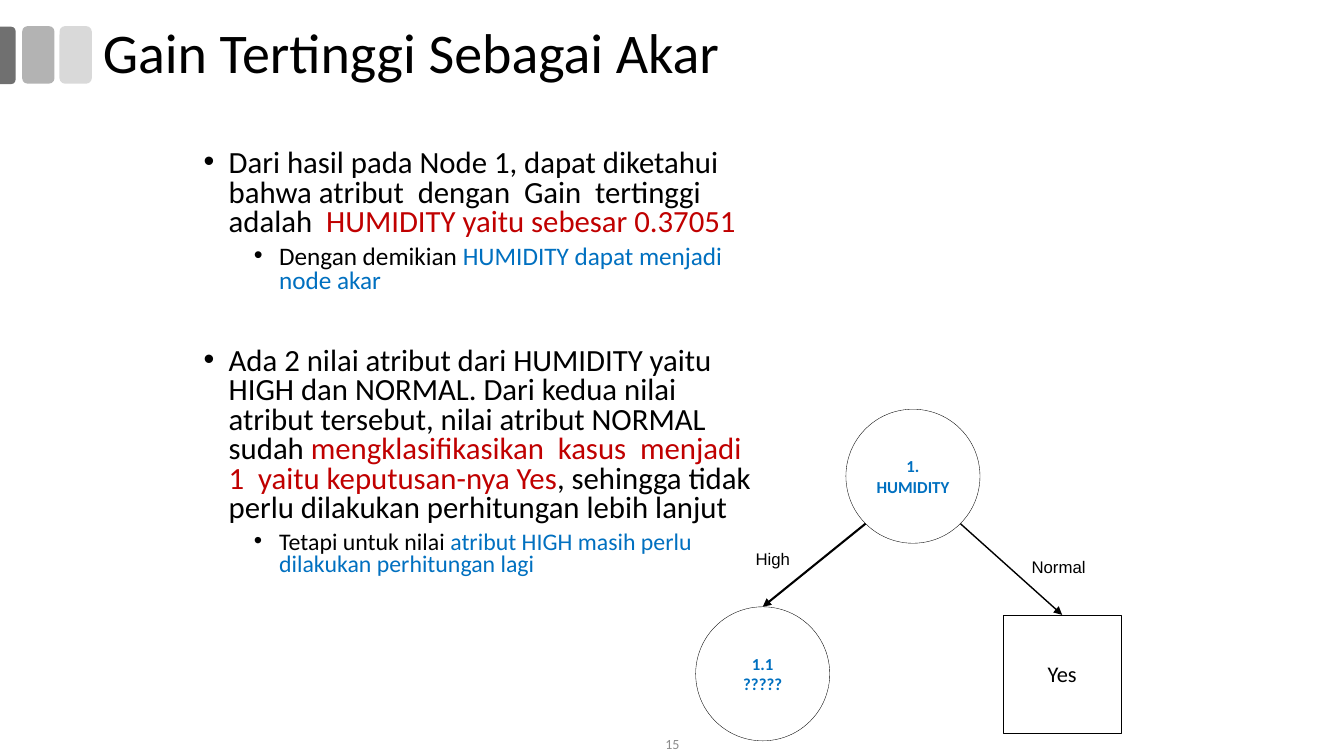
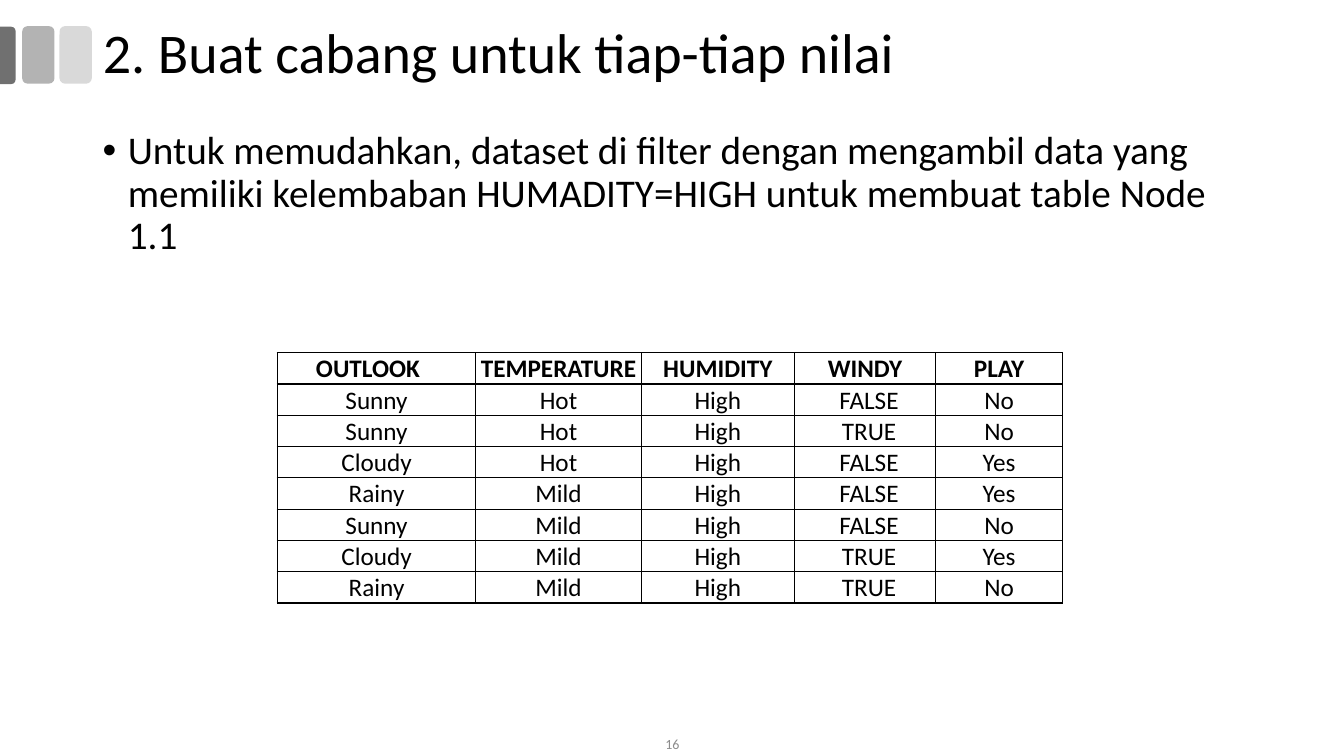
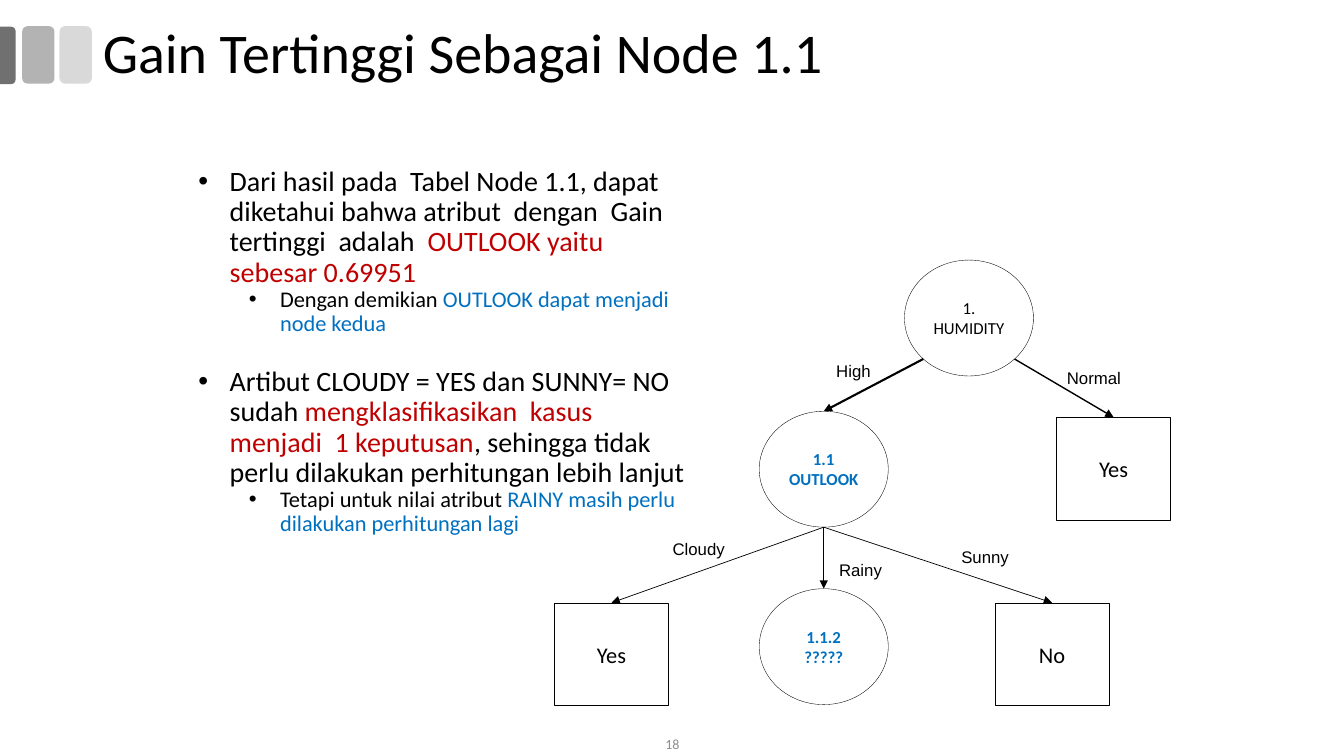
from dataclasses import dataclass
from math import sqrt

from lxml.etree import SubElement
from pptx import Presentation
from pptx.dml.color import RGBColor
from pptx.enum.shapes import MSO_CONNECTOR, MSO_SHAPE
from pptx.enum.text import MSO_ANCHOR, MSO_AUTO_SIZE, PP_ALIGN
from pptx.oxml.ns import qn
from pptx.util import Inches, Pt


@dataclass(frozen=True)
class Theme:
    black: str = "000000"
    white: str = "FFFFFF"
    red: str = "C00000"
    blue: str = "0070C0"
    grey: str = "8C8C8C"
    bands: tuple = ("D9D9D9", "B3B3B3", "707070")
    font: str = "Calibri"
    label_font: str = "Arial"
    title: int = 40
    table: int = 18
    leaf: int = 16
    node: int = 12
    number: int = 10


T = Theme()


def set_attrs(obj, **values):
    for name, value in values.items():
        setattr(obj, name, value)


def write(p, runs, size, name=T.font, bold=False, **para):
    """Add (text, colour) runs to a paragraph; para holds its format values."""
    set_attrs(p, **para)
    for text, color in runs:
        r = p.add_run()
        r.text = text
        set_attrs(r.font, name=name, size=Pt(size), bold=bold)
        r.font.color.rgb = RGBColor.from_string(color)


# Bullets are (level, size, space before, runs).
# Nodes are key: (kind, left, top, text, colour, bold).
# Edges are (parent, side, child, width), side -1 left, 0 bottom, 1 right.
slides = [
    dict(
        title="Gain Tertinggi Sebagai Akar", number="15",
        body=(1.92, 1.44, 5.75, 4.44), indent=0.25, spacing=0.8,
        bullets=[
            (0, 22, 10, [
                ("Dari hasil pada Node 1, dapat diketahui bahwa atribut  dengan  Gain  tertinggi  adalah  ", T.black),
                ("HUMIDITY yaitu sebesar 0.37051", T.red)]),
            (1, 18, 5, [
                ("Dengan demikian ", T.black),
                ("HUMIDITY dapat menjadi node akar", T.blue)]),
            (0, 22, 38, [
                ("Ada 2 nilai atribut dari HUMIDITY yaitu HIGH dan NORMAL. Dari kedua nilai "
                 "atribut tersebut, nilai atribut NORMAL sudah ", T.black),
                ("mengklasifikasikan  kasus  menjadi  1  yaitu keputusan-nya Yes", T.red),
                (", sehingga tidak perlu dilakukan perhitungan lebih lanjut", T.black)]),
            (1, 17, 5, [
                ("Tetapi untuk nilai ", T.black),
                ("atribut HIGH masih perlu dilakukan perhitungan lagi", T.blue)]),
        ],
        sizes={"circle": (1.33, 1.33), "box": (1.17, 1.17)},
        nodes={
            "root": ("circle", 8.39, 4.06, "1. HUMIDITY", T.blue, True),
            "high": ("circle", 6.9, 6.02, "1.1\n?????", T.blue, True),
            "normal": ("box", 9.95, 6.1, "Yes", T.black, False),
        },
        edges=[("root", -1, "high", 1.5), ("root", 1, "normal", 1)],
        labels=[("High", 7.39, 5.39, 0.55), ("Normal", 10.13, 5.47, 0.74)],
    ),
    dict(
        title="2. Buat cabang untuk tiap-tiap nilai", number="16",
        body=(0.92, 1.25, 11.5, 5.83), indent=0.25, spacing=0.9,
        bullets=[
            (0, 28, 10, [
                ("Untuk memudahkan, dataset di filter dengan mengambil data yang memiliki "
                 "kelembaban HUMADITY=HIGH untuk membuat table Node 1.1", T.black)]),
        ],
        table=[
            ("OUTLOOK", "TEMPERATURE", "HUMIDITY", "WINDY", "PLAY"),
            ("Sunny", "Hot", "High", "FALSE", "No"),
            ("Sunny", "Hot", "High", "TRUE", "No"),
            ("Cloudy", "Hot", "High", "FALSE", "Yes"),
            ("Rainy", "Mild", "High", "FALSE", "Yes"),
            ("Sunny", "Mild", "High", "FALSE", "No"),
            ("Cloudy", "Mild", "High", "TRUE", "Yes"),
            ("Rainy", "Mild", "High", "TRUE", "No"),
        ],
    ),
    dict(
        title="Gain Tertinggi Sebagai Node 1.1", number="18",
        body=(1.87, 1.61, 5.04, 5.08), indent=0.31, spacing=0.9,
        bullets=[
            (0, 20, 0, [
                ("Dari hasil pada  Tabel Node 1.1, dapat diketahui bahwa atribut  dengan  Gain  "
                 "tertinggi  adalah  ", T.black),
                ("OUTLOOK yaitu sebesar 0.69951", T.red)]),
            (1, 16, 0, [
                ("Dengan demikian ", T.black),
                ("OUTLOOK dapat menjadi node kedua", T.blue)]),
            (0, 20, 22, [
                ("Artibut CLOUDY = YES dan SUNNY= NO sudah ", T.black),
                ("mengklasifikasikan  kasus  menjadi  1 keputusan", T.red),
                (", sehingga tidak perlu dilakukan perhitungan lebih lanjut", T.black)]),
            (1, 16, 0, [
                ("Tetapi untuk nilai atribut ", T.black),
                ("RAINY masih perlu dilakukan perhitungan lagi", T.blue)]),
        ],
        sizes={"circle": (1.28, 1.15), "box": (1.13, 1.02)},
        nodes={
            "root": ("circle", 8.97, 2.58, "1. HUMIDITY", T.black, False),
            "high": ("circle", 7.53, 4.08, "1.1\nOUTLOOK", T.blue, True),
            "normal": ("box", 10.48, 4.14, "Yes", T.black, False),
            "cloudy": ("box", 5.5, 5.98, "Yes", T.black, False),
            "sunny": ("box", 9.87, 5.98, "No", T.black, False),
            "rainy": ("circle", 7.53, 5.84, "1.1.2\n?????", T.blue, True),
        },
        edges=[("root", -1, "high", 1.5), ("root", 1, "normal", 1), ("high", 0, "cloudy", 0.5),
               ("high", 0, "rainy", 0.5), ("high", 0, "sunny", 0.5)],
        labels=[("High", 8.19, 3.53, 0.55), ("Normal", 10.48, 3.6, 0.74), ("Cloudy", 6.57, 5.3, 0.72),
                ("Rainy", 8.22, 5.5, 0.63), ("Sunny", 9.43, 5.37, 0.68)],
    ),
]

bands = [
    (MSO_SHAPE.ROUNDED_RECTANGLE, 0.59, 0.26, 0.32, 0.57, 0),
    (MSO_SHAPE.ROUNDED_RECTANGLE, 0.22, 0.26, 0.32, 0.57, 0),
    (MSO_SHAPE.ROUND_2_SAME_RECTANGLE, -0.21, 0.47, 0.57, 0.16, 90),
]
node_styles = {"circle": (MSO_SHAPE.OVAL, T.node), "box": (MSO_SHAPE.RECTANGLE, T.leaf)}
col_widths = (1.97, 1.64, 1.52, 1.4, 1.26)
row_height = 0.31

prs = Presentation()
set_attrs(prs, slide_width=Inches(13.33), slide_height=Inches(7.5))

for data in slides:
    s = prs.slides.add_slide(prs.slide_layouts[5])

    for (kind, *at, rotation), color in zip(bands, T.bands):
        sp = s.shapes.add_shape(kind, *map(Inches, at))
        sp.rotation = rotation
        sp.shadow.inherit = False
        sp.fill.solid()
        sp.fill.fore_color.rgb = RGBColor.from_string(color)
        sp.line.fill.background()
        if rotation:
            sp.adjustments[0] = 0.29

    title = s.shapes.title
    set_attrs(title, left=Inches(0.92), top=Inches(0.17), width=Inches(12.4), height=Inches(0.75))
    tf = title.text_frame
    set_attrs(tf, word_wrap=True, auto_size=MSO_AUTO_SIZE.NONE, vertical_anchor=MSO_ANCHOR.MIDDLE)
    write(tf.paragraphs[0], [(data["title"], T.black)], T.title, alignment=PP_ALIGN.LEFT, line_spacing=0.9)

    tf = s.shapes.add_textbox(*map(Inches, data["body"])).text_frame
    tf.word_wrap = True
    for i, (level, size, before, runs) in enumerate(data["bullets"]):
        p = tf.add_paragraph() if i else tf.paragraphs[0]
        write(p, runs, size, level=level, line_spacing=data["spacing"], space_before=Pt(before))
        pPr = p._p.get_or_add_pPr()
        pPr.set("marL", str(Inches(level * 0.5 + data["indent"])))
        pPr.set("indent", str(-Inches(data["indent"])))
        SubElement(pPr, qn("a:buFont"), typeface="Arial")
        SubElement(pPr, qn("a:buChar"), char="•")

    tf = s.shapes.add_textbox(Inches(5.17), Inches(7.25), Inches(3), Inches(0.25)).text_frame
    set_attrs(tf, word_wrap=True, vertical_anchor=MSO_ANCHOR.MIDDLE)
    write(tf.paragraphs[0], [(data["number"], T.grey)], T.number, alignment=PP_ALIGN.CENTER)

    if "table" in data:
        rows = data["table"]
        table = s.shapes.add_table(len(rows), len(col_widths), Inches(2.75), Inches(3.5),
                                   Inches(sum(col_widths)), Inches(row_height * len(rows))).table
        set_attrs(table, first_row=False, horz_banding=False)
        for col, width in zip(table.columns, col_widths):
            col.width = Inches(width)
        for i, row in enumerate(rows):
            table.rows[i].height = Inches(row_height)
            for j, text in enumerate(row):
                cell = table.cell(i, j)
                header = i == 0
                set_attrs(
                    cell,
                    margin_left=Inches(0.09 if j == 3 and not header else 0.01),
                    margin_right=Inches(0.18 if j == 0 and header else 0.01),
                    margin_top=Inches(0.01), margin_bottom=0,
                    vertical_anchor=MSO_ANCHOR.BOTTOM if header and j else MSO_ANCHOR.MIDDLE)
                tcPr = cell._tc.get_or_add_tcPr()
                for side in ("lnL", "lnR", "lnT", "lnB"):
                    ln = SubElement(tcPr, qn(f"a:{side}"), w=str(Pt(1)))
                    SubElement(SubElement(ln, qn("a:solidFill")), qn("a:srgbClr"), val=T.black)
                cell.fill.solid()
                cell.fill.fore_color.rgb = RGBColor.from_string(T.white)
                write(cell.text_frame.paragraphs[0], [(text, T.black)], T.table, bold=header,
                      alignment=PP_ALIGN.CENTER)

    nodes = {}
    for key, (kind, left, top, text, color, bold) in data.get("nodes", {}).items():
        preset, size = node_styles[kind]
        sp = nodes[key] = s.shapes.add_shape(preset, *map(Inches, (left, top, *data["sizes"][kind])))
        sp.shadow.inherit = False
        sp.fill.background()
        sp.line.color.rgb = RGBColor.from_string(T.black)
        sp.line.width = Pt(0.25)
        tf = sp.text_frame
        set_attrs(tf, word_wrap=True, vertical_anchor=MSO_ANCHOR.MIDDLE,
                  margin_left=Inches(0.08), margin_right=Inches(0.08))
        for i, line in enumerate(text.split("\n")):
            p = tf.add_paragraph() if i else tf.paragraphs[0]
            write(p, [(line, color)], size, bold=bold, alignment=PP_ALIGN.CENTER)

    for parent, side, child, width in data.get("edges", []):
        start, end = nodes[parent], nodes[child]
        rx, ry = start.width / 2, start.height / 2
        x = start.left + rx + side * rx / sqrt(2)
        y = start.top + ry + (ry / sqrt(2) if side else ry)
        arrow = s.shapes.add_connector(MSO_CONNECTOR.STRAIGHT, int(x), int(y),
                                       end.left + end.width // 2, end.top)
        arrow.end_connect(end, 0)
        arrow.line.color.rgb = RGBColor.from_string(T.black)
        arrow.line.width = Pt(width)
        SubElement(arrow.line._get_or_add_ln(), qn("a:tailEnd"), type="triangle")
        SubElement(arrow._element.spPr, qn("a:effectLst"))

    for text, left, top, width in data.get("labels", []):
        tf = s.shapes.add_textbox(*map(Inches, (left, top, width, 0.3))).text_frame
        set_attrs(tf, word_wrap=False, auto_size=MSO_AUTO_SIZE.SHAPE_TO_FIT_TEXT)
        write(tf.paragraphs[0], [(text, T.black)], T.node, T.label_font, alignment=PP_ALIGN.CENTER)

prs.save("out.pptx")
